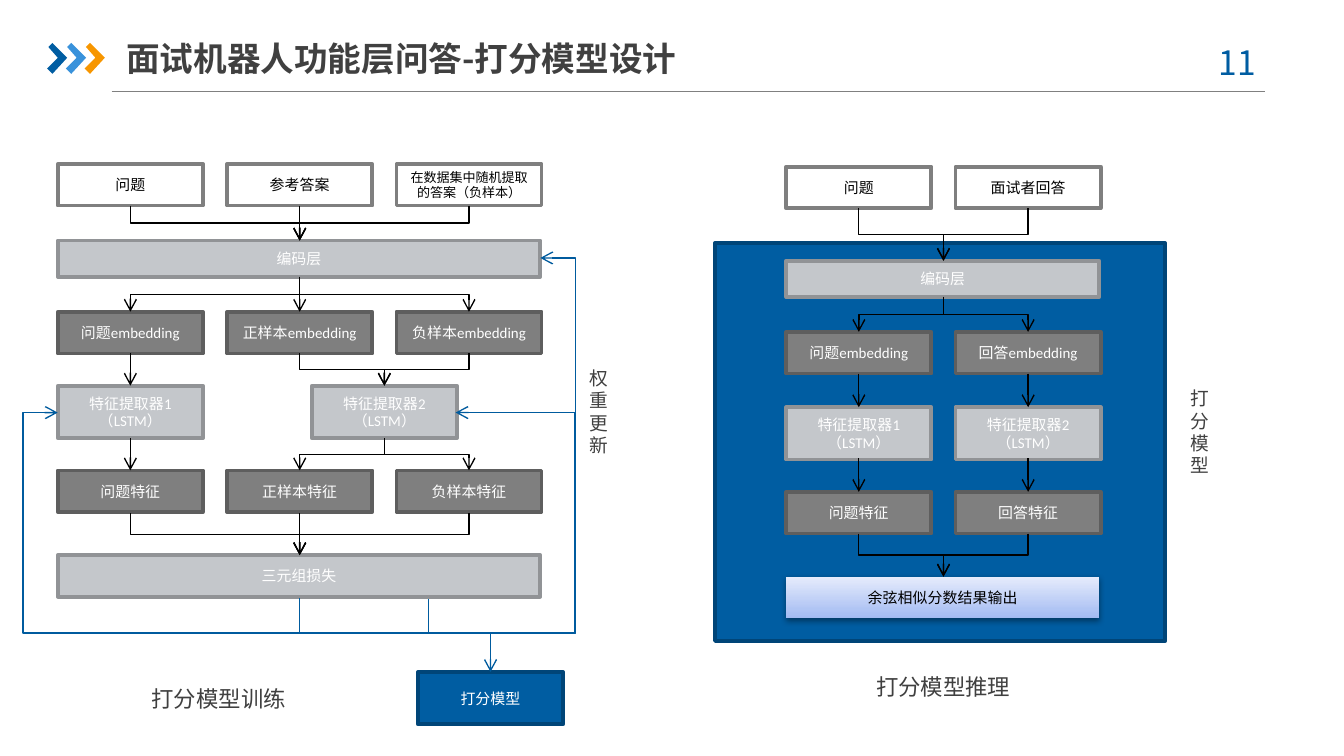
from lxml.etree import SubElement
from pptx import Presentation
from pptx.dml.color import RGBColor
from pptx.enum.shapes import MSO_CONNECTOR, MSO_SHAPE
from pptx.enum.text import MSO_ANCHOR, PP_ALIGN
from pptx.oxml.ns import qn
from pptx.util import Pt

PX = 9144  # 100 px to the inch
SANS, BODY = "Noto Sans CJK SC", "Calibri"
INK, BLACK, WHITE = "404040", "000000", "FFFFFF"
BLUE, EDGE, WIRE = "005DA2", "004578", "005B9E"

# Box looks: fill, line, text colour
INPUT = (WHITE, "7F7F7F", BLACK)
LAYER = ("C4C7CB", "919396", WHITE)
DATA = ("7F7F7F", "5E5E5E", WHITE)
MODEL = (BLUE, EDGE, WHITE)

WIDE, PITCH = 108, 126  # box width and column step
LEFT = [97 + PITCH * i for i in range(3)]  # column centres
RIGHT = [639 + PITCH * i for i in range(2)]


def rgb(code):
    return RGBColor.from_string(code)


def write(frame, text, size, font, color, align=None, bold=False):
    frame.text = text
    for para in frame.paragraphs:
        para.alignment = align
        para.font.size = Pt(size)
        para.font.name = font
        para.font.bold = bold
        para.font.color.rgb = rgb(color)


def label(slide, x, y, w, h, text, size, color=INK, wrap=False, align=None):
    frame = slide.shapes.add_textbox(x * PX, y * PX, w * PX, h * PX).text_frame
    frame.word_wrap = wrap
    write(frame, text, size, SANS, color, align)


def box(slide, x, y, w, h, look, text="", size=8):
    fill, line, color = look
    shape = slide.shapes.add_shape(
        MSO_SHAPE.RECTANGLE, x * PX, y * PX, w * PX, h * PX)
    shape.shadow.inherit = False
    shape.fill.solid()
    shape.fill.fore_color.rgb = rgb(fill)
    shape.line.color.rgb = rgb(line)
    shape.line.width = Pt(2)
    frame = shape.text_frame
    frame.margin_left = frame.margin_right = 9 * PX
    frame.vertical_anchor = MSO_ANCHOR.MIDDLE
    write(frame, text, size, BODY, color, PP_ALIGN.CENTER)
    return shape


def row(slide, mids, y, h, look, texts):
    for mid, text in zip(mids, texts):
        size = 7 if len(text) > 15 else 8
        box(slide, mid - WIDE // 2, y, WIDE, h, look, text, size)


def style(wire, color, arrow=True):
    wire.line.color.rgb = rgb(color)
    wire.line.width = Pt(0.75)
    props = wire._element.spPr
    if arrow:
        SubElement(props.find(qn("a:ln")), qn("a:tailEnd"), type="arrow")
    SubElement(props, qn("a:effectLst"))


def line(slide, x1, y1, x2, y2, color=BLACK, arrow=True):
    wire = slide.shapes.add_connector(
        MSO_CONNECTOR.STRAIGHT, x1 * PX, y1 * PX, x2 * PX, y2 * PX)
    style(wire, color, arrow)


def elbow(slide, x1, y1, x2, y2, color=BLACK, mid=None, side=None):
    """Leave downwards, turn at height mid and, if given, again at x = side."""
    w, h = abs(y2 - y1) * PX, abs(x2 - x1) * PX
    x, y = ((x1 + x2) * PX - w) // 2, ((y1 + y2) * PX - h) // 2
    wire = slide.shapes.add_connector(MSO_CONNECTOR.ELBOW, x, y, x + w, y + h)
    # A quarter turn makes the first leg vertical
    frame = wire._element.spPr.find(qn("a:xfrm"))
    frame.set("rot", "5400000")
    if y2 < y1:
        frame.set("flipH", "1")
    if x2 > x1:
        frame.set("flipV", "1")
    bends = [0.5 if mid is None else (mid - y1) / (y2 - y1)]
    if side is not None:
        bends.append((side - x1) / (x2 - x1))
    geom = wire._element.spPr.find(qn("a:prstGeom"))
    geom.set("prst", f"bentConnector{len(bends) + 2}")
    marks = geom.find(qn("a:avLst"))
    for i, bend in enumerate(bends, 1):
        SubElement(marks, qn("a:gd"), name=f"adj{i}",
                   fmla=f"val {round(bend * 100000)}")
    style(wire, color)


def link(slide, tops, y1, ends, y2):
    """Join every start to every end."""
    for x1 in tops:
        for x2 in ends:
            draw = line if x1 == x2 else elbow
            draw(slide, x1, y1, x2, y2)


def header(slide):
    line(slide, 83, 68, 941, 68, "808080", False)
    for x, color in zip((35, 49, 63), (BLUE, "3992DB", "F79600")):
        pen = slide.shapes.build_freeform(x + 1, 35, scale=PX)
        pen.add_line_segments([(x + 4, 32), (x + 15, 43), (x + 4, 55),
                               (x, 51), (x + 8, 43)])
        mark = pen.convert_to_shape()
        mark.shadow.inherit = False
        mark.fill.solid()
        mark.fill.fore_color.rgb = rgb(color)
        mark.line.fill.background()
    label(slide, 884, 26, 73, 40, "11", 18, BLUE, True, PP_ALIGN.CENTER)
    title = slide.shapes.add_textbox(94 * PX, 22 * PX, 720 * PX, 42 * PX)
    frame = title.text_frame
    frame.word_wrap = True
    frame.margin_left = frame.margin_right = 0
    frame.vertical_anchor = MSO_ANCHOR.MIDDLE
    write(frame, "面试机器人功能层问答-打分模型设计", 18, SANS, INK, bold=True)


def train(slide):
    first, centre, last = LEFT
    pair = (centre + last) // 2
    # Boxes
    row(slide, LEFT, 122, 31, INPUT,
        ["问题", "参考答案", "在数据集中随机提取的答案（负样本）"])
    box(slide, 43, 179, 359, 27, LAYER, "编码层")
    row(slide, LEFT, 232, 31, DATA,
        ["问题embedding", "正样本embedding", "负样本embedding"])
    row(slide, [first, pair], 287, 39, LAYER,
        ["特征提取器1\n（LSTM）", "特征提取器2\n（LSTM）"])
    row(slide, LEFT, 350, 31, DATA, ["问题特征", "正样本特征", "负样本特征"])
    box(slide, 43, 413, 359, 31, LAYER, "三元组损失")
    box(slide, 311, 500, WIDE, 39, MODEL, "打分模型")
    # Forward flow
    link(slide, LEFT, 153, [centre], 179)
    link(slide, [centre], 206, LEFT, 232)
    link(slide, [first], 263, [first], 287)
    link(slide, [centre, last], 263, [pair], 287)
    link(slide, [first], 326, [first], 350)
    link(slide, [pair], 326, [centre, last], 350)
    link(slide, LEFT, 382, [centre], 413)
    # Weight updates
    for x, y, side in ((339, 307, 428), (43, 307, 17), (402, 192, 428)):
        elbow(slide, centre, 445, x, y, WIRE, 471, side)
    elbow(slide, 319, 446, 365, 500, WIRE, 471)
    label(slide, 429, 268, 34, 77, "权\n重\n更\n新", 10)
    label(slide, 103, 505, 120, 30, "打分模型训练", 12)


def infer(slide):
    centre = sum(RIGHT) // 2
    # Boxes
    box(slide, 532, 181, 335, 296, MODEL)
    row(slide, RIGHT, 124, 31, INPUT, ["问题", "面试者回答"])
    box(slide, 585, 194, 233, 27, LAYER, "编码层")
    row(slide, RIGHT, 247, 31, DATA, ["问题embedding", "回答embedding"])
    row(slide, RIGHT, 303, 39, LAYER,
        ["特征提取器1\n（LSTM）", "特征提取器2\n（LSTM）"])
    row(slide, RIGHT, 366, 31, DATA, ["问题特征", "回答特征"])
    # Score output with gradient and shadow
    score = box(slide, 585, 429, 233, 31, INPUT, "余弦相似分数结果输出")
    score.line.fill.background()
    score.fill.gradient()
    score.fill.gradient_angle = 90
    for stop, color in zip(score.fill.gradient_stops, ("A2BAF2", "E6ECFC")):
        stop.color.rgb = rgb(color)
    glow = SubElement(score._element.spPr.find(qn("a:effectLst")),
                      qn("a:outerShdw"), blurRad=str(Pt(3)),
                      dist=str(Pt(1.6)), dir="5400000", rotWithShape="0")
    shade = SubElement(glow, qn("a:srgbClr"), val=BLACK)
    SubElement(shade, qn("a:alpha"), val="38000")
    # Flow
    link(slide, RIGHT, 155, [centre], 194)
    link(slide, [centre], 221, RIGHT, 247)
    for x in RIGHT:
        link(slide, [x], 278, [x], 303)
        link(slide, [x], 341, [x], 366)
    link(slide, RIGHT, 397, [centre], 429)
    label(slide, 876, 283, 34, 77, "打\n分\n模\n型", 10)
    label(slide, 642, 496, 120, 30, "打分模型推理", 12)


def main():
    deck = Presentation()
    deck.slide_width = 1000 * PX
    deck.slide_height = deck.slide_width * 9 // 16
    slide = deck.slides.add_slide(deck.slide_layouts[6])
    header(slide)
    train(slide)
    infer(slide)
    deck.save("out.pptx")


if __name__ == "__main__":
    main()
